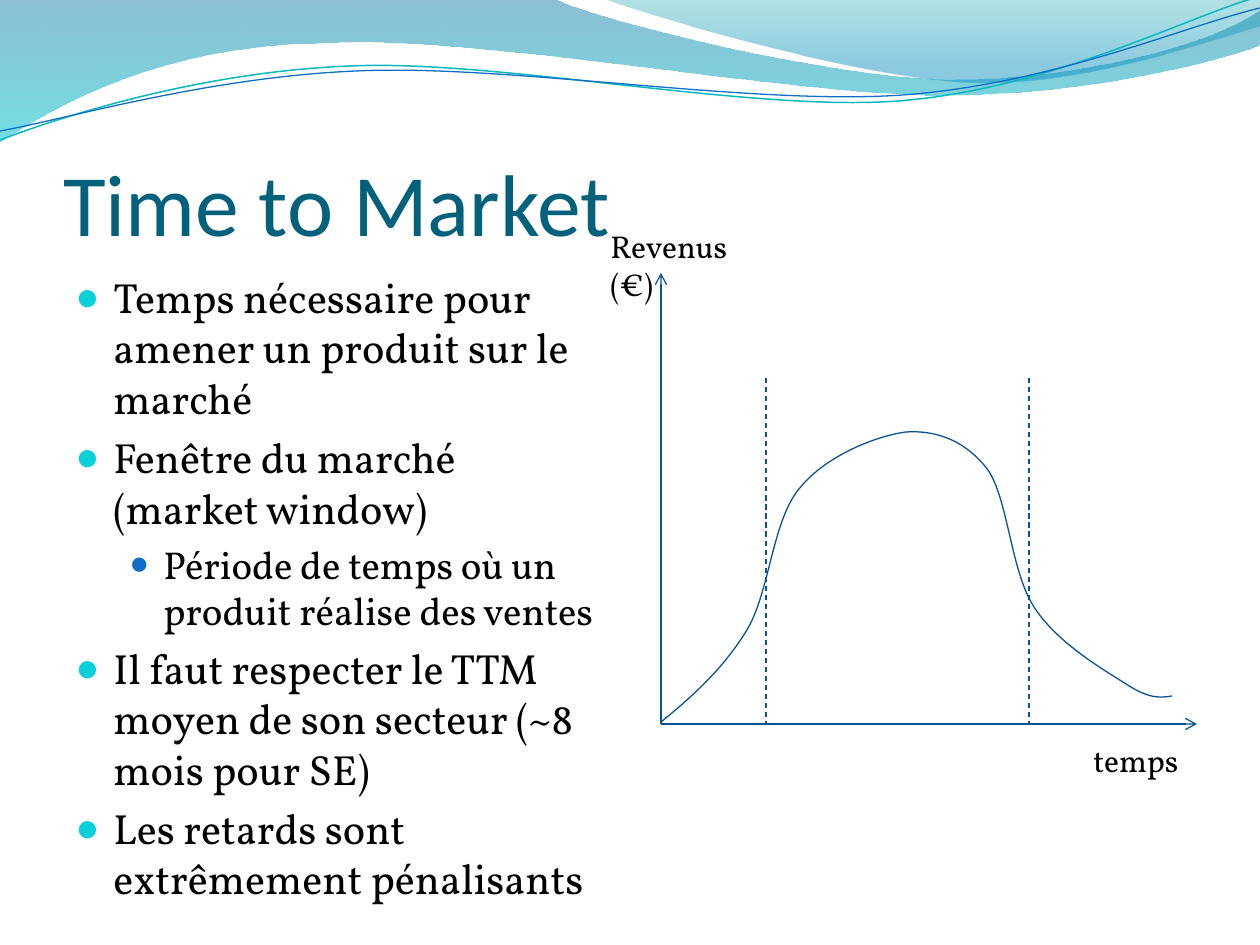
from dataclasses import dataclass

from lxml import etree
from pptx import Presentation
from pptx.dml.color import RGBColor
from pptx.enum.dml import MSO_LINE
from pptx.enum.shapes import MSO_CONNECTOR
from pptx.enum.text import MSO_ANCHOR, MSO_AUTO_SIZE
from pptx.oxml.ns import qn
from pptx.util import Emu, Pt

EMU_PER_PX = 914400 / 126
STRAIGHT = MSO_CONNECTOR.STRAIGHT
DASH = MSO_LINE.DASH
BOTTOM = MSO_ANCHOR.BOTTOM
NO_AUTOFIT = MSO_AUTO_SIZE.NONE
TITLE_ONLY = 5


@dataclass(frozen=True)
class Theme:
    title_font: str = "Calibri"
    body_font: str = "Vollkorn"
    title_size: float = 50
    level_sizes: tuple = (24.1, 22.2)
    label_size: float = 18
    title: str = "04617B"
    text: str = "000000"
    bullets: tuple = ("0BD0D9", "0F6FC6")
    chart: str = "095295"
    teal_line: str = "0AB8BF"
    blue_line: str = "0F6FC6"
    # Gradient stops: position, colour, opacity in percent
    wide_wave: tuple = ((0, "0074A1", 45), (1, "00C6CF", 55))
    right_wave: tuple = ((0, "00A1A9", 30), (0.8, "008BBF", 45))


THEME = Theme()

# Paths: a start point, then segments of one point (line) or three (Bézier)
WIDE_WAVE = [
    (0, 0), [(554, -1)],
    [(600, 21), (837, 79), (955, 79)], [(1075, 79), (1207, 47), (1260, 11)],
    [(1261, 45)],
    [(1239, 55), (1096, 96), (940, 95)], [(784, 95), (481, 35), (324, 43)],
    [(161, 45), (58, 105), (-1, 142)],
]
RIGHT_WAVE = [
    (604, -1), [(641, 14), (859, 78), (969, 82)],
    [(1079, 87), (1211, 40), (1260, 26)], [(1260, 0)],
]
TEAL_LINE = [
    (0, 140), [(60, 117), (199, 72), (349, 66)],
    [(498, 59), (747, 112), (898, 101)], [(1050, 89), (1182, 19), (1257, -3)],
]
BLUE_LINE = [
    (0, 131), [(59, 121), (207, 77), (357, 71)],
    [(508, 64), (752, 106), (903, 95)], [(1053, 84), (1185, 26), (1260, 8)],
]
REVENUE_CURVE = [
    (661, 722), [(693, 696), (723, 669), (747, 630)],
    [(770, 591), (772, 522), (799, 489)], [(825, 456), (876, 436), (906, 432)],
    [(937, 430), (966, 441), (988, 470)], [(1008, 499), (1011, 572), (1034, 607)],
    [(1057, 643), (1104, 670), (1126, 684)], [(1149, 699), (1160, 698), (1172, 696)],
]

POINTS = [
    (0, "Temps nécessaire pour amener un produit sur le marché"),
    (0, "Fenêtre du marché (market window)"),
    (1, "Période de temps où un produit réalise des ventes"),
    (0, "Il faut respecter le TTM moyen de son secteur (~8 mois pour SE)"),
    (0, "Les retards sont extrêmement pénalisants"),
]


def px(length):
    return Emu(round(length * EMU_PER_PX))


def rgb(code):
    return RGBColor.from_string(code)


def write(paragraph, text, *, size, font=THEME.body_font, color=THEME.text):
    run = paragraph.add_run()
    run.text = text
    run.font.size = Pt(size)
    run.font.name = font
    run.font.color.rgb = rgb(color)


def add_text_frame(slide, *box):
    frame = slide.shapes.add_textbox(*map(px, box)).text_frame
    frame.word_wrap = True
    return frame


def add_title(slide, text):
    title = slide.shapes.title
    title.left, title.top, title.width, title.height = map(px, (63, 97, 1134, 157))
    frame = title.text_frame
    frame.auto_size = NO_AUTOFIT
    frame.vertical_anchor = BOTTOM
    frame.margin_left = frame.margin_right = frame.margin_bottom = 0
    paragraph = frame.paragraphs[0]
    paragraph._p.get_or_add_pPr().set("algn", "l")
    write(paragraph, text, size=THEME.title_size, font=THEME.title_font,
          color=THEME.title)


def set_bullet(paragraph, level):
    margin, hanging, percent = ((38, 38, 95), (88, 34, 85))[level]
    properties = paragraph._p.get_or_add_pPr()
    properties.set("marL", str(px(margin)))
    properties.set("indent", str(-px(hanging)))
    color = etree.SubElement(properties, qn("a:buClr"))
    etree.SubElement(color, qn("a:srgbClr"), val=THEME.bullets[level])
    etree.SubElement(properties, qn("a:buSzPct"), val=str(percent * 1000))
    etree.SubElement(properties, qn("a:buFont"), typeface="Arial")
    etree.SubElement(properties, qn("a:buChar"), char="●")


def add_bullets(slide, points):
    frame = add_text_frame(slide, 63, 265, 557, 611)
    for index, (level, text) in enumerate(points):
        paragraph = frame.add_paragraph() if index else frame.paragraphs[0]
        size = THEME.level_sizes[level]
        paragraph.level = level
        paragraph.space_before = Pt(round(size * 0.2, 1) if index else 0)
        set_bullet(paragraph, level)
        write(paragraph, text, size=size)


def add_label(slide, text, *box):
    frame = add_text_frame(slide, *box)
    write(frame.paragraphs[0], text, size=THEME.label_size)


def add_curve(slide, outline, *, close=False):
    """Build a freeform on the anchor points, then bend its Bézier segments."""
    start, *segments = outline
    anchors = [start] + [segment[-1] for segment in segments]
    left = min(x for x, _ in anchors)
    top = min(y for _, y in anchors)
    builder = slide.shapes.build_freeform(*start, scale=EMU_PER_PX)
    builder.add_line_segments(anchors[1:], close=close)
    shape = builder.convert_to_shape()
    shape.shadow.inherit = False
    edges = list(shape._element.iter(qn("a:lnTo")))
    for edge, segment in zip(edges, segments):
        if len(segment) == 3:
            bend = etree.Element(qn("a:cubicBezTo"))
            for x, y in segment:
                etree.SubElement(bend, qn("a:pt"), x=str(x - left), y=str(y - top))
            edge.getparent().replace(edge, bend)
    return shape


def add_wave(slide, outline, stops):
    wave = add_curve(slide, outline, close=True)
    wave.line.fill.background()
    wave.fill.gradient()
    wave.fill.gradient_angle = 270
    for stop, (position, color, opacity) in zip(wave.fill.gradient_stops, stops):
        stop.position = position
        stop.color.rgb = rgb(color)
        for node in stop._gs.iter(qn("a:srgbClr")):
            etree.SubElement(node, qn("a:alpha"), val=str(opacity * 1000))


def add_curved_line(slide, outline, color, width=0.75):
    curve = add_curve(slide, outline)
    curve.fill.background()
    curve.line.color.rgb = rgb(color)
    curve.line.width = Pt(width)


def add_line(slide, *ends, dashed=False, arrow=False):
    connector = slide.shapes.add_connector(STRAIGHT, *map(px, ends))
    connector.line.color.rgb = rgb(THEME.chart)
    connector.line.width = Pt(0.75)
    if dashed:
        connector.line.dash_style = DASH
    if arrow:
        etree.SubElement(connector.line._get_or_add_ln(), qn("a:tailEnd"), type="arrow")
    etree.SubElement(connector._element.spPr, qn("a:effectLst"))


def add_revenue_diagram(slide):
    origin_x, origin_y = 661, 724
    add_line(slide, origin_x, origin_y, origin_x, 273, arrow=True)
    add_line(slide, origin_x, origin_y, 1197, origin_y, arrow=True)
    add_curved_line(slide, REVENUE_CURVE, THEME.chart)
    add_label(slide, "Revenus (€)", 598, 221, 176, 50)
    add_label(slide, "temps", 1081, 735, 126, 50)
    for window_edge in (766, 1029):
        add_line(slide, window_edge, 378, window_edge, origin_y, dashed=True)


def main():
    presentation = Presentation()
    presentation.slide_width, presentation.slide_height = px(1260), px(945)
    slide = presentation.slides.add_slide(presentation.slide_layouts[TITLE_ONLY])
    add_wave(slide, WIDE_WAVE, THEME.wide_wave)
    add_wave(slide, RIGHT_WAVE, THEME.right_wave)
    add_curved_line(slide, TEAL_LINE, THEME.teal_line, width=0.85)
    add_curved_line(slide, BLUE_LINE, THEME.blue_line)
    add_title(slide, "Time to Market")
    add_bullets(slide, POINTS)
    add_revenue_diagram(slide)
    presentation.save("out.pptx")


if __name__ == "__main__":
    main()
